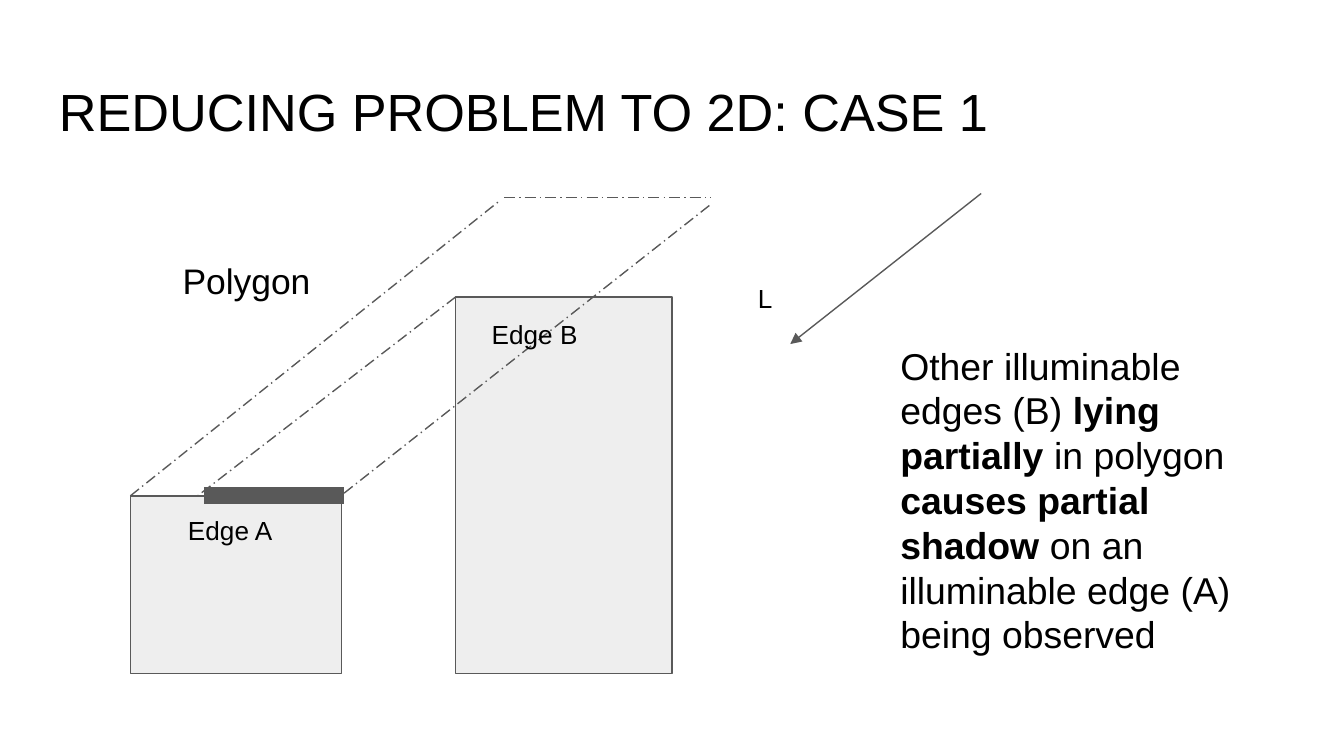
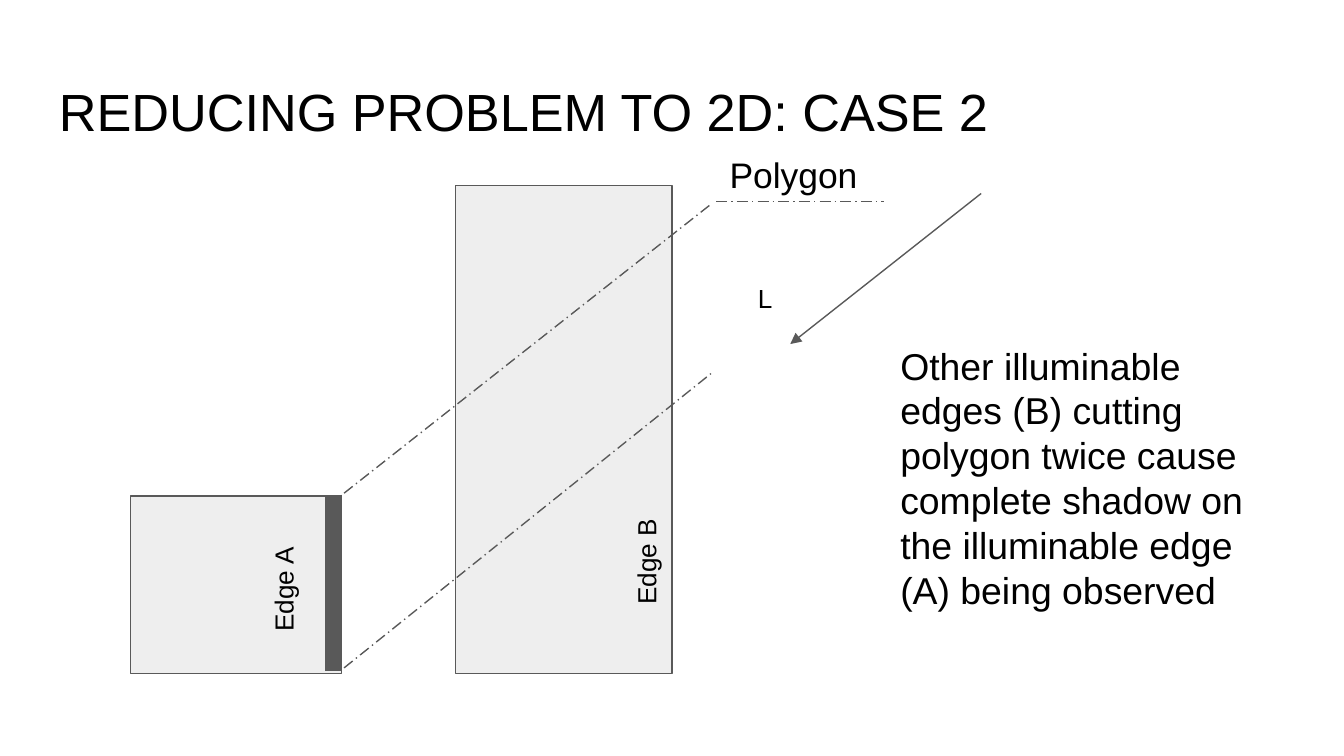
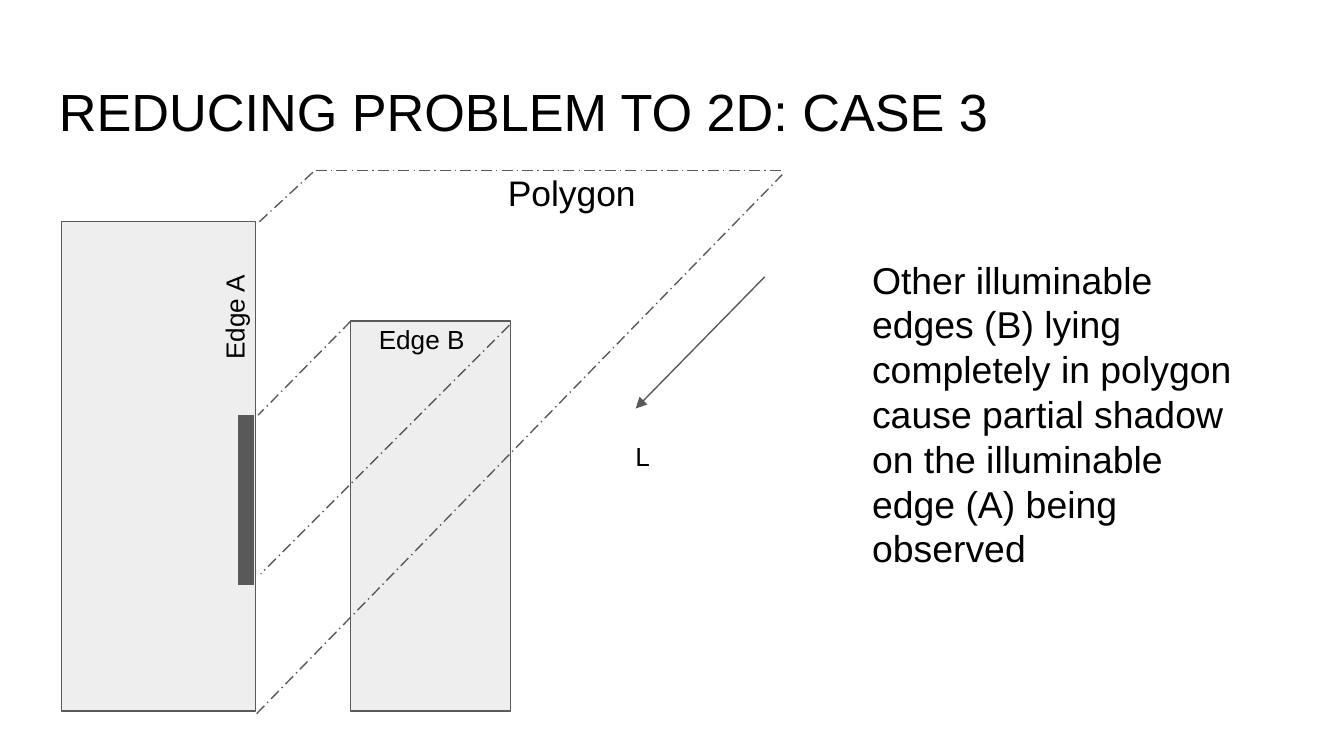
from dataclasses import dataclass

from lxml import etree
from pptx import Presentation
from pptx.dml.color import RGBColor
from pptx.enum.dml import MSO_LINE
from pptx.enum.shapes import MSO_CONNECTOR, MSO_SHAPE
from pptx.oxml.ns import qn
from pptx.util import Inches, Pt

RECTANGLE = MSO_SHAPE.RECTANGLE
STRAIGHT = MSO_CONNECTOR.STRAIGHT
LONG_DASH_DOT = MSO_LINE.LONG_DASH_DOT


@dataclass(frozen=True)
class Theme:
    font: str = "Arial"
    text: RGBColor = RGBColor(0x00, 0x00, 0x00)
    block: RGBColor = RGBColor(0xEE, 0xEE, 0xEE)
    line: RGBColor = RGBColor(0x59, 0x59, 0x59)
    title_size: int = 28
    body_size: int = 20
    polygon_size: int = 19
    label_size: int = 14
    thin: float = 0.75
    shadow: float = 9


theme = Theme()


def add_text(slide, box, runs, size, rotation=0):
    """Add a text box; runs are (text, bold) pairs."""
    shape = slide.shapes.add_textbox(*[Inches(value) for value in box])
    shape.rotation = rotation
    frame = shape.text_frame
    frame.word_wrap = True
    frame.margin_left = frame.margin_right = Inches(0.1)
    frame.margin_top = frame.margin_bottom = Inches(0.1)
    paragraph = frame.paragraphs[0]
    for text, bold in runs:
        run = paragraph.add_run()
        run.text = text
        run.font.name = theme.font
        run.font.size = Pt(size)
        run.font.bold = bold
        run.font.color.rgb = theme.text


def add_line(slide, ends, width=theme.thin):
    """Add a straight line from (x1, y1) to (x2, y2)."""
    line = slide.shapes.add_connector(STRAIGHT, *[Inches(value) for value in ends])
    line.line.color.rgb = theme.line
    line.line.width = Pt(width)
    etree.SubElement(line._element.spPr, qn("a:effectLst"))
    return line


# What differs from case to case
light_ray = (7.3, 1.44, 5.88, 2.56)
light_label = (5.54, 2, 0.48, 0.34)
explanation_box = (6.6, 2.45, 2.91, 2.55)
block_a = (0.97, 3.69, 1.57, 1.32)
upper_ray = (2.56, 3.67, 5.29, 1.52)

cases = [
    {
        "blocks": [block_a, (3.39, 2.21, 1.61, 2.8)],
        "light": light_ray,
        "light_label": light_label,
        "polygon": [
            upper_ray,
            (0.97, 3.69, 3.71, 1.5),
            (3.75, 1.47, 5.29, 1.47),
            (3.39, 2.21, 1.47, 3.69),
        ],
        "polygon_label": (1.26, 1.83),
        "shadow": (1.52, 3.69, 2.56, 3.69),
        "edges": [
            ("Edge A", (1.3, 3.73, 0.91, 0.29), 0),
            ("Edge B", (3.56, 2.27, 0.91, 0.29), 0),
        ],
        "explanation_box": explanation_box,
        "explanation": [
            ("Other illuminable edges (B) ", False),
            ("lying partially ", True),
            ("in polygon ", False),
            ("causes partial shadow", True),
            (" on an illuminable edge (A) being observed", False),
        ],
    },
    {
        "blocks": [block_a, (3.39, 1.38, 1.61, 3.63)],
        "light": light_ray,
        "light_label": light_label,
        "polygon": [
            upper_ray,
            (2.56, 4.97, 5.29, 2.78),
            (5.33, 1.5, 6.58, 1.5),
        ],
        "polygon_label": (5.33, 1.04),
        "shadow": (2.48, 3.68, 2.48, 4.99),
        "edges": [
            ("Edge A", (1.58, 4.2, 0.91, 0.29), 270),
            ("Edge B", (4.28, 4, 0.91, 0.29), 270),
        ],
        "explanation_box": explanation_box,
        "explanation": [
            ("Other illuminable edges (B) cutting polygon twice cause complete "
             "shadow on the illuminable edge (A) being observed", False),
        ],
    },
    {
        "blocks": [(0.46, 1.65, 1.44, 3.64), (2.61, 2.39, 1.19, 2.9)],
        "light": (5.69, 2.06, 4.73, 3.04),
        "light_label": (4.63, 3.18, 0.4, 0.37),
        "polygon": [
            (1.91, 5.31, 5.82, 1.3),
            (1.93, 1.65, 2.33, 1.28),
            (2.35, 1.27, 5.82, 1.27),
            (3.79, 2.42, 1.94, 4.27),
            (2.61, 2.39, 1.92, 3.09),
        ],
        "polygon_label": (3.68, 1.17),
        "shadow": (1.83, 3.09, 1.83, 4.35),
        "edges": [
            ("Edge A", (1.28, 2.06, 0.96, 0.47), 270),
            ("Edge B", (2.72, 2.31, 0.96, 0.47), 0),
        ],
        "explanation_box": (6.39, 1.81, 2.91, 2.55),
        "explanation": [
            ("Other illuminable edges (B) lying completely in polygon cause "
             "partial shadow on the illuminable edge (A) being observed", False),
        ],
    },
]

# Widescreen slides, 16 to 9
presentation = Presentation()
presentation.slide_width = Inches(10)
presentation.slide_height = Inches(10) * 9 // 16
blank_layout = presentation.slide_layouts[6]

for number, case in enumerate(cases, start=1):
    slide = presentation.slides.add_slide(blank_layout)

    # Title
    title = f"REDUCING PROBLEM TO 2D: CASE {number}"
    add_text(slide, (0.34, 0.49, 9.32, 0.63), [(title, False)], theme.title_size)

    # Blocks A and B
    for box in case["blocks"]:
        block = slide.shapes.add_shape(RECTANGLE, *[Inches(value) for value in box])
        block.shadow.inherit = False
        block.fill.solid()
        block.fill.fore_color.rgb = theme.block
        block.line.color.rgb = theme.line
        block.line.width = Pt(theme.thin)

    # Light direction
    light = add_line(slide, case["light"])
    etree.SubElement(light.line._get_or_add_ln(), qn("a:tailEnd"), type="triangle")
    add_text(slide, case["light_label"], [("L", False)], theme.label_size)

    # Polygon outline and the shadow on edge A
    for ends in case["polygon"]:
        add_line(slide, ends).line.dash_style = LONG_DASH_DOT
    add_line(slide, case["shadow"], theme.shadow)

    # Explanation and labels
    add_text(slide, case["explanation_box"], case["explanation"], theme.body_size)
    add_text(slide, (*case["polygon_label"], 1.25, 0.34), [("Polygon", False)],
             theme.polygon_size)
    for name, box, rotation in case["edges"]:
        add_text(slide, box, [(name, False)], theme.label_size, rotation)

presentation.save("out.pptx")
